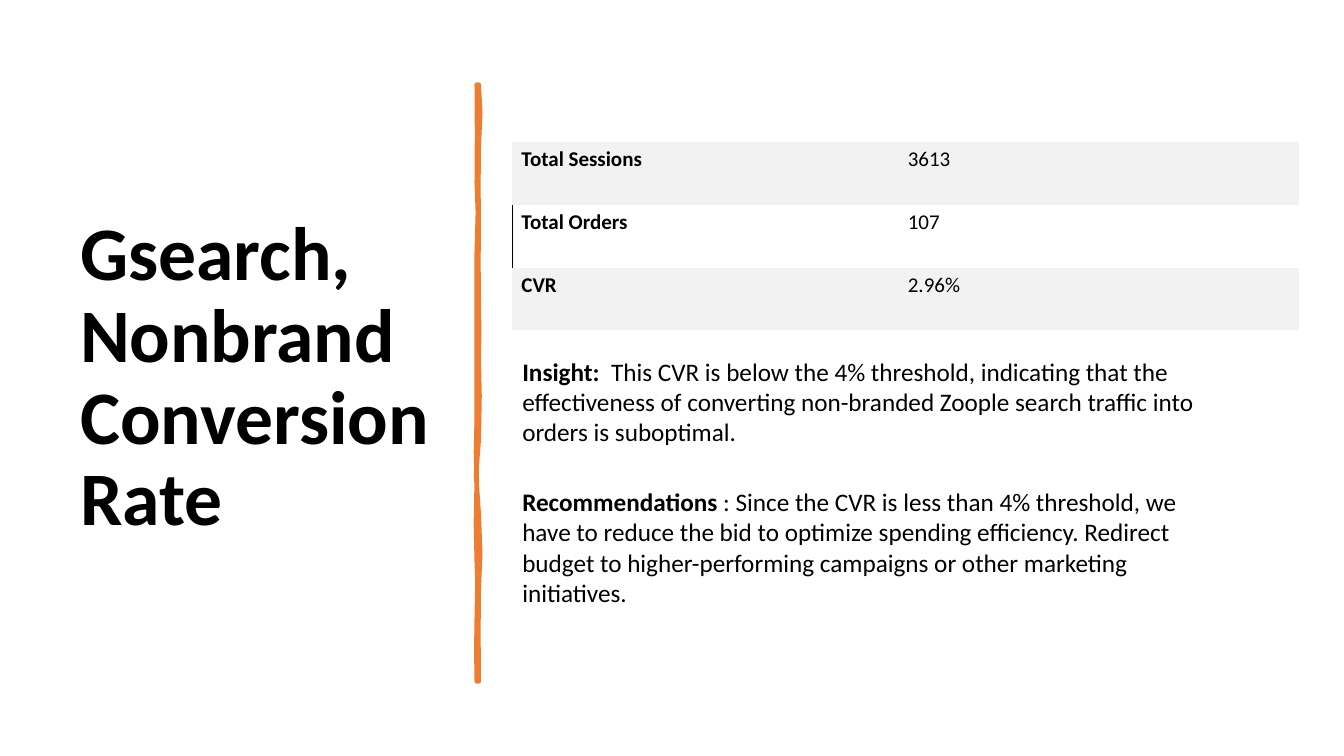
from dataclasses import dataclass

from pptx import Presentation
from pptx.dml.color import RGBColor as RGB
from pptx.enum.text import MSO_ANCHOR as Anchor, MSO_AUTO_SIZE as AutoSize, PP_ALIGN as Align
from pptx.oxml import parse_xml
from pptx.oxml.ns import nsdecls
from pptx.util import Pt


@dataclass(frozen=True)
class Theme:
    font: str = "Calibri"
    text: RGB = RGB(0, 0, 0)
    accent: RGB = RGB(0xED, 0x7D, 0x31)
    band: RGB = RGB(0xF2, 0xF2, 0xF2)
    title_size: int = 54
    body_size: int = 18
    table_size: int = 15


NO_STYLE = "{2D5ABB26-0587-4C30-8999-92F81FD0307C}"

# Hand-drawn divider: right edge downwards, then left edge upwards.
# Each curve holds two control points and its end, as x, y pairs in points.
DIVIDER_START = (342, 60.5)
DIVIDER_CURVES = [
    (343.4, 73.4, 343.4, 85.7, 342, 105.1),
    (340.6, 124.6, 342.7, 140.4, 342, 162.7),
    (341.3, 185, 342, 188.6, 342, 211.7),
    (341.3, 234, 343.4, 246.2, 342, 256.3),
    (340.6, 266.4, 344.9, 298.1, 342, 313.9),
    (339.1, 329, 339.8, 348.5, 342, 367.2),
    (343.4, 385.9, 343.4, 406.1, 342, 420.5),
    (340.6, 434.2, 342.7, 468, 342, 486.7),
    (341.3, 486.7, 340.6, 486.7, 340.6, 486.7),
    (341.3, 465.1, 339.1, 463.7, 340.6, 441.4),
    (341.3, 419.8, 341.3, 410.4, 340.6, 401),
    (339.8, 391.7, 339.8, 356.4, 340.6, 343.4),
    (340.6, 330.5, 339.1, 316.8, 340.6, 298.8),
    (341.3, 277.9, 339.8, 268.6, 340.6, 241.2),
    (341.3, 214.6, 339.8, 202.3, 340.6, 180),
    (341.3, 157, 342, 144, 340.6, 130.3),
    (338.4, 117.4, 343.4, 74.9, 340.6, 60.5),
]

METRICS = [("Total Sessions", "3613"), ("Total Orders", "107"), ("CVR", "2.96%")]

NOTES = [
    (250.75, 499, 73, "Insight: ",
     " This CVR is below the 4% threshold, indicating that the effectiveness of "
     "converting non-branded Zoople search traffic into orders is suboptimal."),
    (344, 507, 94, "Recommendations",
     " : Since the CVR is less than 4% threshold, we have to reduce the bid to "
     "optimize spending efficiency. Redirect budget to higher-performing campaigns "
     "or other marketing initiatives."),
]


def curve_points(start, curves, steps=2):
    """Sample a chain of cubic curves."""
    points = []
    for x1, y1, x2, y2, x3, y3 in curves:
        for i in range(1, steps + 1):
            t = i / steps
            u = 1 - t
            weights = (u ** 3, 3 * u * u * t, 3 * u * t * t, t ** 3)
            xs, ys = (start[0], x1, x2, x3), (start[1], y1, y2, y3)
            points.append(tuple(sum(w * v for w, v in zip(weights, axis)) for axis in (xs, ys)))
        start = (x3, y3)
    return points


class SlideBuilder:
    def __init__(self, slide, theme):
        self.s, self.theme = slide, theme

    def run(self, p, text, size, bold=False):
        r = p.add_run()
        r.text = text
        r.font.name, r.font.size, r.font.bold = self.theme.font, Pt(size), bold
        r.font.color.rgb = self.theme.text

    def title(self, text, left, top, width, height):
        sp = self.s.shapes.title
        sp.left, sp.top, sp.width, sp.height = map(Pt, (left, top, width, height))
        tf = sp.text_frame
        tf.word_wrap, tf.auto_size = True, AutoSize.NONE
        tf.vertical_anchor = Anchor.MIDDLE
        p = tf.paragraphs[0]
        p.alignment, p.line_spacing = Align.LEFT, 0.9
        self.run(p, text, self.theme.title_size, True)

    def outline(self, start, curves):
        points = [(Pt(x), Pt(y)) for x, y in curve_points(start, curves)]
        builder = self.s.shapes.build_freeform(Pt(start[0]), Pt(start[1]))
        builder.add_line_segments(points, close=True)
        sp = builder.convert_to_shape()
        sp.shadow.inherit = False
        sp.fill.solid()
        sp.fill.fore_color.rgb = self.theme.accent
        sp.line.color.rgb = self.theme.accent
        sp.line.width = Pt(3.25)

    def table(self, rows, left, top, widths, row_height):
        frame = self.s.shapes.add_table(len(rows), len(widths), Pt(left), Pt(top),
                                        Pt(sum(widths)), Pt(row_height * len(rows)))
        table = frame.table
        table.first_row = table.horz_banding = False
        table._tbl.tblPr.find("{*}tableStyleId").text = NO_STYLE
        for column, width in zip(table.columns, widths):
            column.width = Pt(width)
        for i, values in enumerate(rows):
            table.rows[i].height = Pt(row_height)
            for j, text in enumerate(values):
                cell = table.cell(i, j)
                cell.margin_left = cell.margin_right = cell.margin_bottom = Pt(6.5)
                cell.margin_top = Pt(3.5)
                if i % 2 == 0:
                    cell.fill.solid()
                    cell.fill.fore_color.rgb = self.theme.band
                else:
                    cell.fill.background()
                self.run(cell.text_frame.paragraphs[0], text, self.theme.table_size, j == 0)
        return table

    def left_border(self, cell):
        border = parse_xml(
            f'<a:lnL {nsdecls("a")} w="{Pt(1)}"><a:solidFill>'
            f'<a:srgbClr val="{self.theme.text}"/></a:solidFill></a:lnL>')
        cell._tc.get_or_add_tcPr().insert(0, border)

    def note(self, left, top, width, height, label, text):
        tf = self.s.shapes.add_textbox(Pt(left), Pt(top), Pt(width), Pt(height)).text_frame
        tf.word_wrap, tf.auto_size = True, AutoSize.SHAPE_TO_FIT_TEXT
        p = tf.paragraphs[0]
        p.space_after = Pt(6)
        self.run(p, label, self.theme.body_size, True)
        self.run(p, text, self.theme.body_size)


def main():
    prs = Presentation()
    prs.slide_width, prs.slide_height = Pt(960), Pt(540)
    title_only = prs.slide_layouts[5]
    builder = SlideBuilder(prs.slides.add_slide(title_only), Theme())

    # Title and divider
    builder.title("Gsearch, Nonbrand Conversion Rate", 50, 50.5, 269, 440)
    builder.outline(DIVIDER_START, DIVIDER_CURVES)

    # Metrics table
    content_left = 366
    table = builder.table(METRICS, content_left, 101.5, (276, 286), 44.8)
    builder.left_border(table.cell(1, 0))

    # Insight and recommendations
    for top, width, height, label, text in NOTES:
        builder.note(content_left, top, width, height, label, text)

    prs.save("out.pptx")


if __name__ == "__main__":
    main()
